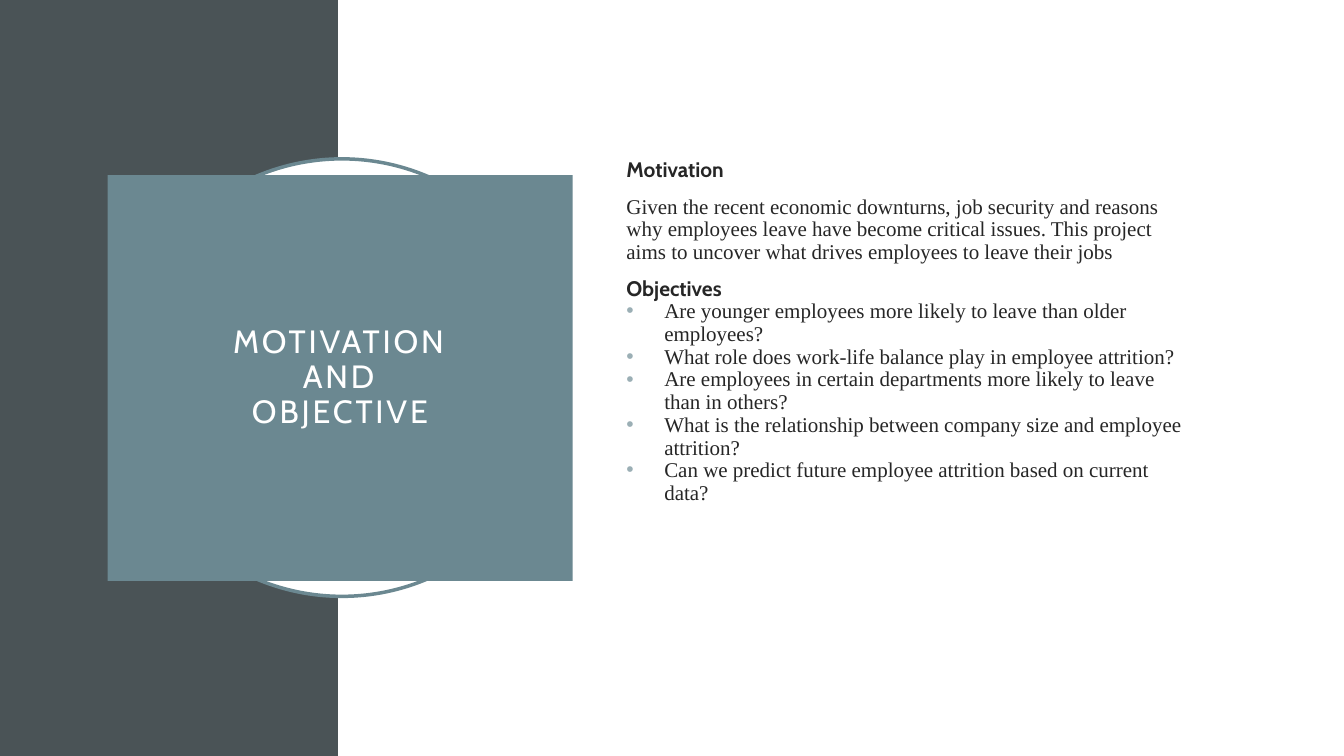
from lxml.etree import SubElement
from pptx import Presentation
from pptx.dml.color import RGBColor
from pptx.enum.shapes import MSO_SHAPE
from pptx.enum.text import MSO_ANCHOR, MSO_AUTO_SIZE, PP_ALIGN
from pptx.oxml.ns import qn
from pptx.util import Pt

TITLE = "MOTIVATION\nAND\nOBJECTIVE"
MOTIVATION = (
    "Given the recent economic downturns, job security and reasons why "
    "employees leave have become critical issues. This project aims to "
    "uncover what drives employees to leave their jobs"
)
OBJECTIVES = [
    "Are younger employees more likely to leave than older employees?",
    "What role does work-life balance play in employee attrition?",
    "Are employees in certain departments more likely to leave than in others?",
    "What is the relationship between company size and employee attrition?",
    "Can we predict future employee attrition based on current data?",
]
SLATE, TEAL, PALE, WHITE, INK = "4A5356", "6B8891", "9BAFB5", "FFFFFF", "262626"
HEADING_FONT, BODY_FONT = "Cabin", "Times New Roman"
SLIDE_W, SLIDE_H, BAND_W = 960, 540, 241.6
INDENT = 27


def rgb(color):
    return RGBColor.from_string(color)


def add_panel(s, kind, box, fill, line=None):
    sp = s.shapes.add_shape(kind, *map(Pt, box))
    sp.shadow.inherit = False
    sp.fill.solid()
    sp.fill.fore_color.rgb = rgb(fill)
    if line:
        sp.line.color.rgb = rgb(line)
        sp.line.width = Pt(2.5)
    else:
        sp.line.fill.background()


def set_frame(tf, anchor, x_inset, y_inset):
    tf.word_wrap = True
    tf.auto_size = MSO_AUTO_SIZE.NONE
    tf.vertical_anchor = anchor
    tf.margin_left = tf.margin_right = Pt(x_inset)
    tf.margin_top = tf.margin_bottom = Pt(y_inset)


def add_text(tf, text, font=BODY_FONT, size=15, color=INK, bold=False,
             align=PP_ALIGN.LEFT, before=0, spacing=0, bullet=False):
    p = tf.paragraphs[0] if not tf.text else tf.add_paragraph()
    p.alignment = align
    p.line_spacing = 0.9
    p.space_before = Pt(before)
    p.space_after = Pt(0)
    for i, line in enumerate(text.split("\n")):
        if i:
            p.add_line_break()
        r = p.add_run()
        r.text = line
        r.font.name = font
        r.font.size = Pt(size)
        r.font.bold = bold
        r.font.color.rgb = rgb(color)
        if spacing:
            r.font._element.set("spc", str(spacing * 100))
    if bullet:
        pPr = p._p.get_or_add_pPr()
        pPr.set("marL", str(Pt(INDENT)))
        pPr.set("indent", str(-Pt(INDENT)))
        SubElement(SubElement(pPr, qn("a:buClr")), qn("a:srgbClr"), val=PALE)
        SubElement(pPr, qn("a:buFont"), typeface="Arial")
        SubElement(pPr, qn("a:buChar"), char="•")


prs = Presentation()
prs.slide_width, prs.slide_height = Pt(SLIDE_W), Pt(SLIDE_H)
s = prs.slides.add_slide(prs.slide_layouts[5])

add_panel(s, MSO_SHAPE.RECTANGLE, (0, 0, BAND_W, SLIDE_H), SLATE)
add_panel(s, MSO_SHAPE.RECTANGLE, (BAND_W, 0, SLIDE_W - BAND_W, SLIDE_H), WHITE)
add_panel(s, MSO_SHAPE.OVAL, (88, 113.5, 312.5, 312.5), WHITE, TEAL)

title = s.shapes.title
title.left, title.top, title.width, title.height = map(Pt, (76.8, 125, 332.3, 290))
title.fill.solid()
title.fill.fore_color.rgb = rgb(TEAL)
set_frame(title.text_frame, MSO_ANCHOR.MIDDLE, 14.4, 14.4)
add_text(title.text_frame, TITLE, font=HEADING_FONT, size=23, color=WHITE,
         align=PP_ALIGN.CENTER, spacing=2)
title.element.getparent().append(title.element)

body = s.shapes.add_textbox(*map(Pt, (440.4, 110.2, 419, 319)))
tf = body.text_frame
set_frame(tf, MSO_ANCHOR.TOP, 7.2, 3.6)
add_text(tf, "Motivation", font=HEADING_FONT, bold=True, before=10)
add_text(tf, MOTIVATION, before=10)
add_text(tf, "Objectives", font=HEADING_FONT, bold=True, before=10)
for objective in OBJECTIVES:
    add_text(tf, objective, bullet=True)

prs.save("out.pptx")
